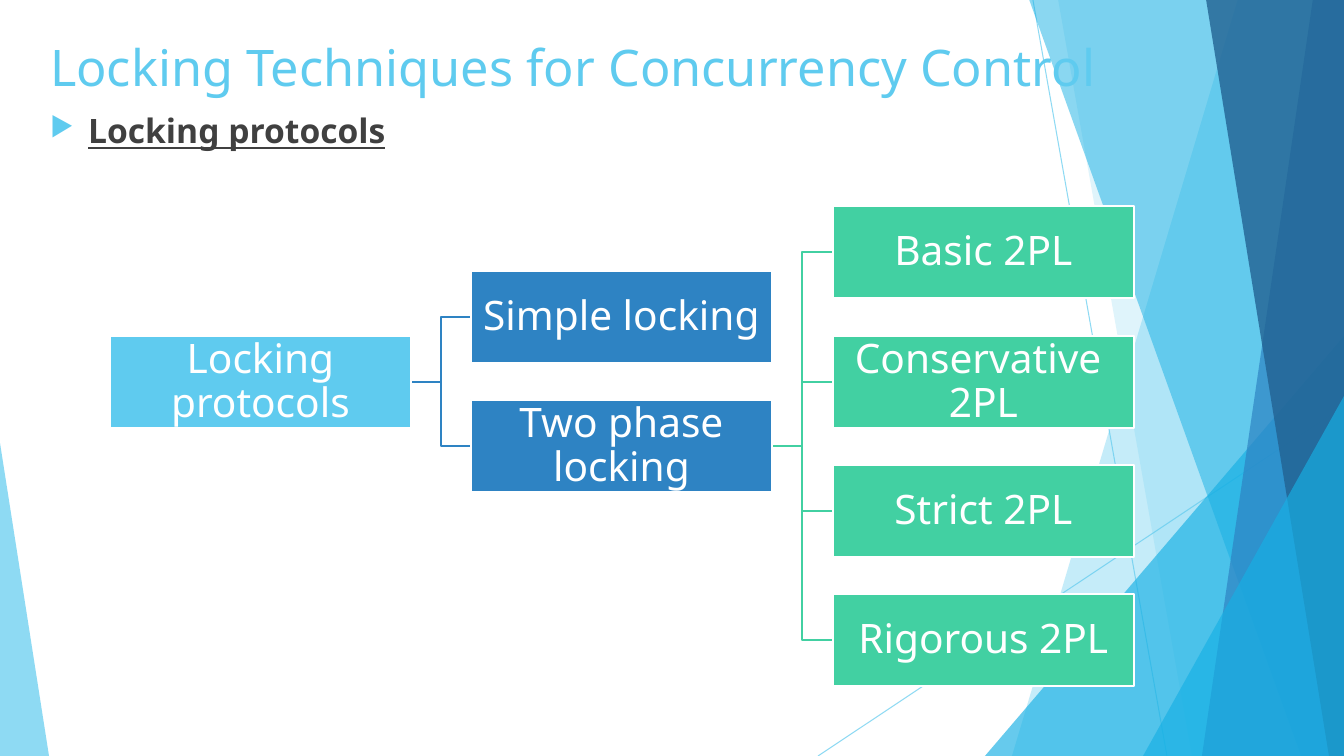
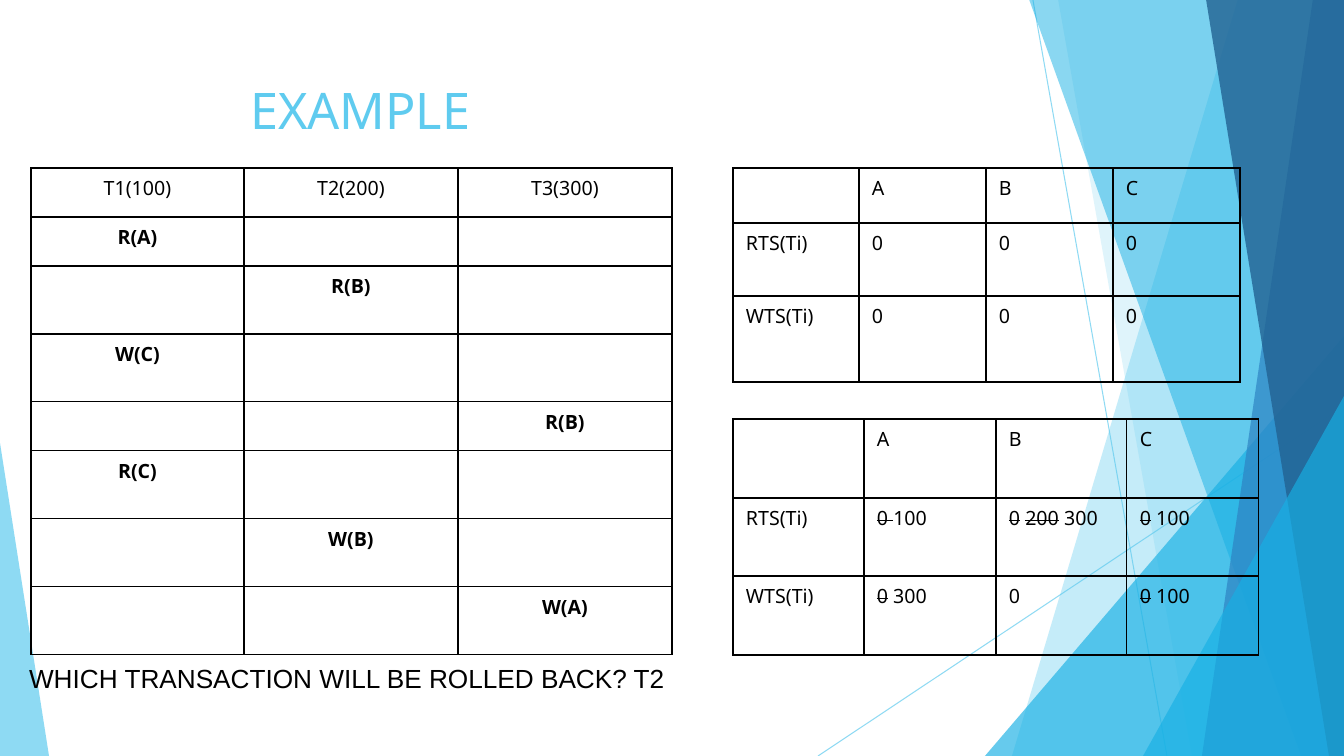
from lxml.etree import SubElement
from pptx import Presentation
from pptx.dml.color import RGBColor
from pptx.enum.shapes import MSO_CONNECTOR, MSO_SHAPE
from pptx.enum.text import MSO_ANCHOR, MSO_AUTO_SIZE, PP_ALIGN
from pptx.oxml import parse_xml
from pptx.oxml.ns import nsdecls, qn
from pptx.util import Pt

PX = 914400 / 100.8
W, H = 1344, 756
SKY, CYAN, BLUE, NAVY = "5FCBEF", "17B0E4", "2E83C3", "226292"
GREEN, WHITE, BLACK, GREY = "42D0A2", "FFFFFF", "000000", "404040"
FONT = "Noto Sans"
BOX_W, BOX_H = 301, 92
COLUMN_X = (110, 471, 833)


def px(n):
    """Turn pixels into EMU."""
    return round(n * PX)


def place(*lengths):
    """Turn several pixel lengths into EMU."""
    return [px(n) for n in lengths]


def rgb(code):
    """Turn a hex string into a colour."""
    return RGBColor.from_string(code)


def set_alpha(shape, percent):
    """Make the colours of a shape partly transparent."""
    for clr in list(shape._element.spPr.iter(qn("a:srgbClr"))):
        SubElement(clr, qn("a:alpha")).set("val", str(percent * 1000))


def style(shape, fill=None, line=None, width=1.5, alpha=None):
    """Set fill, line and transparency, and drop the shadow."""
    shape.shadow.inherit = False
    if fill:
        shape.fill.solid()
        shape.fill.fore_color.rgb = rgb(fill)
    else:
        shape.fill.background()
    if line:
        shape.line.color.rgb = rgb(line)
        shape.line.width = Pt(width)
    else:
        shape.line.fill.background()
    if alpha:
        set_alpha(shape, alpha)
    return shape


def add_run(p, text, size=14, color=BLACK, font=FONT, bold=False,
            underline=False, strike=False):
    """Add a formatted run to a paragraph."""
    r = p.add_run()
    r.text = text
    r.font.size = Pt(size)
    r.font.name = font
    r.font.color.rgb = rgb(color)
    r.font.bold = bold
    r.font.underline = underline
    if strike:
        r._r.get_or_add_rPr().set("strike", "sngStrike")


def write(tf, text, inset=(10, 5), anchor=MSO_ANCHOR.TOP,
          align=PP_ALIGN.LEFT, spacing=None, **fmt):
    """Fill a text frame with one formatted paragraph."""
    tf.word_wrap = True
    tf.auto_size = MSO_AUTO_SIZE.NONE
    tf.vertical_anchor = anchor
    tf.margin_left = tf.margin_right = px(inset[0])
    tf.margin_top = tf.margin_bottom = px(inset[1])
    p = tf.paragraphs[0]
    p.alignment = align
    if spacing:
        p.line_spacing = spacing
    add_run(p, text, **fmt)
    return p


def add_title(s, text, box, **fmt):
    """Move and fill the title placeholder."""
    title = s.shapes.title
    title.left, title.top, title.width, title.height = place(*box)
    write(title.text_frame, text, size=36, color=SKY, **fmt)


def add_text(s, text, box, **fmt):
    """Add a text box and return its paragraph."""
    return write(s.shapes.add_textbox(*place(*box)).text_frame, text, **fmt)


def add_bullet(p, indent):
    """Give a paragraph a hanging triangle bullet."""
    pPr = p._p.get_or_add_pPr()
    pPr.set("marL", str(px(indent)))
    pPr.set("indent", str(-px(indent)))
    clr = SubElement(pPr, qn("a:buClr"))
    SubElement(clr, qn("a:srgbClr")).set("val", SKY)
    SubElement(pPr, qn("a:buSzPct")).set("val", "80000")
    SubElement(pPr, qn("a:buChar")).set("char", "\u25b6")


def add_outline(s, points, close):
    """Draw straight segments through pixel points."""
    builder = s.shapes.build_freeform(*points[0], scale=PX)
    builder.add_line_segments(points[1:], close=close)
    return builder.convert_to_shape()


def add_ray(s, start, end):
    """Draw a thin background line."""
    c = s.shapes.add_connector(MSO_CONNECTOR.STRAIGHT, *place(*start, *end))
    c.line.color.rgb = rgb(SKY)
    c.line.width = Pt(0.75)
    SubElement(c._element.spPr, qn("a:effectLst"))
    set_alpha(c, 70)
    return c


def add_band(s, top, bottom, color, alpha):
    """Draw a band from a slanted left side to the right slide edge."""
    points = [(top, -1), (W, -1), (W, H), (bottom, H)]
    return style(add_outline(s, points, True), color, alpha=alpha)


def add_triangle(s, box, apex, color, alpha):
    """Draw a background triangle."""
    sp = s.shapes.add_shape(MSO_SHAPE.ISOSCELES_TRIANGLE, *place(*box))
    sp.adjustments[0] = apex
    return style(sp, color, alpha=alpha)


def add_backdrop(s, layout):
    """Draw the shared backdrop and hand it to the layout."""
    parts = [
        add_ray(s, (1033, 0), (1167, H)),
        add_ray(s, (W, 406), (818, H)),
        add_band(s, 1238, 1012, SKY, 36),
        add_band(s, 1058, 1192, SKY, 20),
        add_triangle(s, (985, 336, 359, 420), 1, CYAN, 66),
        add_band(s, 1029, 1301, CYAN, 50),
        add_band(s, 1313, 1202, BLUE, 70),
        add_band(s, 1206, 1329, NAVY, 80),
        add_triangle(s, (1143, 396, 201, 360), 1, CYAN, 66),
        add_triangle(s, (0, 443, 49, 313), 0, SKY, 70),
    ]
    for i, part in enumerate(parts):
        layout.shapes._spTree.insert(2 + i, part._element)


def slot_y(slot):
    """Give the centre height of a slot in the tree."""
    return round(252 + 129.5 * slot)


def add_node(s, text, level, slot, color):
    """Draw one box of the tree."""
    box = (COLUMN_X[level], slot_y(slot) - BOX_H // 2, BOX_W, BOX_H)
    sp = s.shapes.add_shape(MSO_SHAPE.RECTANGLE, *place(*box))
    style(sp, color, WHITE)
    write(sp.text_frame, text, inset=(2, 2), anchor=MSO_ANCHOR.MIDDLE,
          align=PP_ALIGN.CENTER, spacing=0.9, size=29, color=WHITE)


def add_branch(s, level, parent, child, color):
    """Draw an elbow from a box to one in the next column."""
    x1, x2 = COLUMN_X[level] + BOX_W, COLUMN_X[level + 1]
    mid, y1, y2 = (x1 + x2) // 2, slot_y(parent), slot_y(child)
    points = [(x1, y1), (mid, y1), (mid, y2), (x2, y2)]
    style(add_outline(s, points, False), line=color)


def add_borders(cell):
    """Draw a black line on each side of a cell."""
    tcPr = cell._tc.get_or_add_tcPr()
    for i, side in enumerate("LRTB"):
        tcPr.insert(i, parse_xml(
            f'<a:ln{side} {nsdecls("a")} w="12700"><a:solidFill>'
            f'<a:srgbClr val="{BLACK}"/></a:solidFill></a:ln{side}>'))


def add_grid(s, left, top, width, heights, rows, align=PP_ALIGN.LEFT,
             bold_body=False):
    """Add a ruled table; text between tildes is struck through."""
    n = len(rows[0])
    table = s.shapes.add_table(
        len(rows), n, *place(left, top, width, sum(heights))).table
    table.first_row = table.horz_banding = False
    for i, col in enumerate(table.columns):
        col.width = px(width * (i + 1) // n - width * i // n)
    for i, (height, texts) in enumerate(zip(heights, rows)):
        table.rows[i].height = px(height)
        for j, text in enumerate(texts):
            cell = table.cell(i, j)
            cell.fill.background()
            add_borders(cell)
            cell.margin_left = cell.margin_right = px(13)
            cell.margin_top = cell.margin_bottom = px(7)
            p = cell.text_frame.paragraphs[0]
            p.alignment = align
            for k, part in enumerate(text.split("~")):
                if part:
                    add_run(p, part, bold=bold_body and i > 0,
                            strike=k % 2 == 1)


def build_protocols(s):
    """Build the tree of locking protocols."""
    add_title(s, "Locking Techniques for Concurrency Control",
              (40, 31, 1094, 145))
    p = add_text(s, "Locking protocols", (40, 105, 1131, 590),
                 align=PP_ALIGN.JUSTIFY, size=24, color=GREY, bold=True,
                 underline=True)
    p.space_before = Pt(10)
    add_bullet(p, 38)
    kinds = [("Simple locking", 0.5), ("Two phase locking", 1.5)]
    variants = ["Basic 2PL", "Conservative  2PL", "Strict 2PL",
                "Rigorous 2PL"]
    for slot in range(len(variants)):
        add_branch(s, 1, 1.5, slot, GREEN)
    for _, slot in kinds:
        add_branch(s, 0, 1, slot, BLUE)
    add_node(s, "Locking protocols", 0, 1, SKY)
    for text, slot in kinds:
        add_node(s, text, 1, slot, BLUE)
    for slot, text in enumerate(variants):
        add_node(s, text, 2, slot, GREEN)


def build_example(s):
    """Build the timestamp ordering example."""
    add_title(s, "EXAMPLE", (237, 40, 869, 146), inset=(13, 7),
              anchor=MSO_ANCHOR.MIDDLE, spacing=0.9)
    steps = [(0, "R(A)"), (1, "R(B)"), (0, "W(C)"), (2, "R(B)"),
             (0, "R(C)"), (1, "W(B)"), (2, "W(A)")]
    schedule = [["T1(100)", "T2(200)", "T3(300)"]]
    schedule += [[op if j == t else "" for j in range(3)] for t, op in steps]
    add_grid(s, 31, 168, 641, [49, 49, 68, 68, 49, 68, 68, 68], schedule,
             align=PP_ALIGN.CENTER, bold_body=True)
    add_text(s, "WHICH TRANSACTION WILL BE ROLLED BACK? T2",
             (16, 655, 670, 45), inset=(13, 7), size=18.7, font="Arial")
    items = ["", "A", "B", "C"]
    add_grid(s, 733, 168, 507, [55, 73, 86],
             [items, ["RTS(Ti)"] + ["0"] * 3, ["WTS(Ti)"] + ["0"] * 3])
    add_grid(s, 733, 419, 526, [79, 78, 79],
             [items,
              ["RTS(Ti)", "~0 ~100", "~0~ ~200~ 300", "~0~ 100"],
              ["WTS(Ti)", "~0~ 300", "0", "~0~ 100"]])


def main():
    """Build and save the presentation."""
    prs = Presentation()
    prs.slide_width, prs.slide_height = place(W, H)
    layout = prs.slide_layouts[5]
    protocols, example = [prs.slides.add_slide(layout) for _ in range(2)]
    add_backdrop(protocols, layout)
    build_protocols(protocols)
    build_example(example)
    prs.save("out.pptx")


main()
